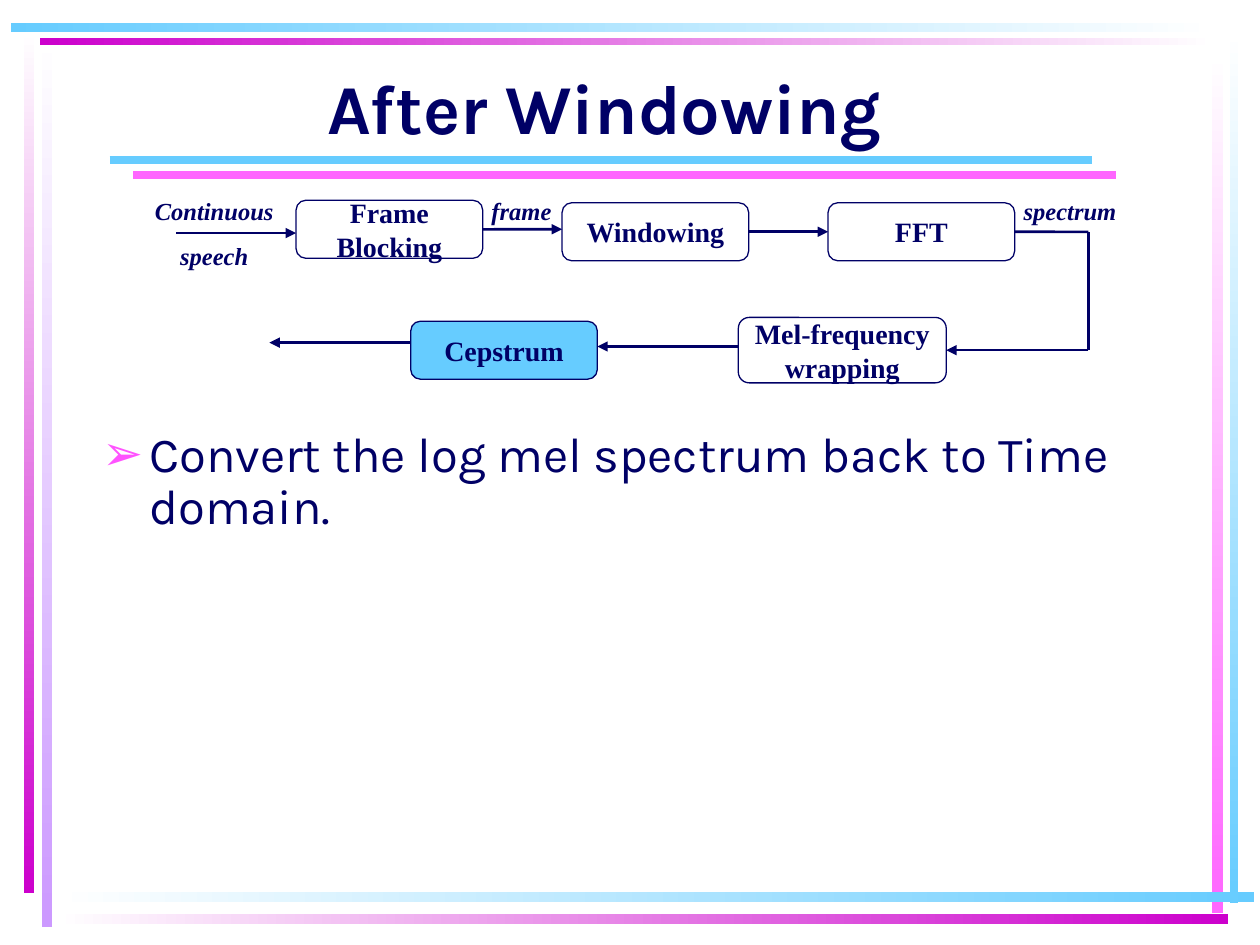
from lxml import etree
from pptx import Presentation
from pptx.dml.color import RGBColor
from pptx.enum.shapes import MSO_CONNECTOR, MSO_SHAPE
from pptx.enum.text import MSO_ANCHOR, MSO_AUTO_SIZE, PP_ALIGN
from pptx.oxml.ns import qn
from pptx.util import Pt

RECT, ROUND = MSO_SHAPE.RECTANGLE, MSO_SHAPE.ROUNDED_RECTANGLE
LINE = MSO_CONNECTOR.STRAIGHT
TOP, MIDDLE = MSO_ANCHOR.TOP, MSO_ANCHOR.MIDDLE
LEFT, CENTER, RIGHT = PP_ALIGN.LEFT, PP_ALIGN.CENTER, PP_ALIGN.RIGHT
FIXED = MSO_AUTO_SIZE.NONE

NAVY = RGBColor(0x00, 0x00, 0x66)
SKY = RGBColor(0x66, 0xCC, 0xFF)
PINK = RGBColor(0xFF, 0x66, 0xFF)
MAGENTA = RGBColor(0xCC, 0x00, 0xCC)
LILAC = RGBColor(0xCC, 0x99, 0xFF)
WHITE = RGBColor(0xFF, 0xFF, 0xFF)
BULLET = "FF53FF"

HEAD = {"name": "Karla", "size": Pt(40), "bold": True}
BODY = {"name": "Karla", "size": Pt(28), "bold": False}
NODE = {"name": "Times New Roman", "size": Pt(16), "bold": True}
LABEL = {"name": "Times New Roman", "size": Pt(14), "bold": True,
         "italic": True}


def place(shape, box):
    for key, val in zip(("left", "top", "width", "height"), box):
        setattr(shape, key, Pt(val))


def write(shape, text, form, align, anchor, wrap=True):
    frame = shape.text_frame
    frame.text = text
    frame.auto_size = FIXED
    frame.word_wrap = wrap
    frame.vertical_anchor = anchor
    for para in frame.paragraphs:
        para.alignment = align
        font = para.runs[0].font
        for key, val in form.items():
            setattr(font, key, val)
        font.color.rgb = NAVY
    return frame


def draw(slide, start, end, color, width, arrow=False):
    link = slide.shapes.add_connector(LINE, *map(Pt, start + end))
    link.line.color.rgb = color
    link.line.width = Pt(width)
    props = link._element.spPr
    if arrow:
        etree.SubElement(props.find(qn("a:ln")), qn("a:tailEnd"),
                         type="triangle")
    etree.SubElement(props, qn("a:effectLst"))
    return link


def border(slide, box):
    x, y, w, h = box
    bars = [
        (23.8, 20.2, 5.8, 509.8, WHITE, LILAC),
        (13.7, 18, 5.8, 492.5, WHITE, MAGENTA),
        (702.7, 17.3, 5, 499, WHITE, SKY),
        (692.6, 30.2, 6.5, 491.8, WHITE, PINK),
        (32.4, 509.8, 684, 5.8, WHITE, SKY),
        (32.4, 522, 669.6, 5.8, WHITE, MAGENTA),
        (23, 21.6, 671, 4.3, MAGENTA, WHITE),
        (6.1, 13.3, 688.3, 5, SKY, WHITE),
    ]
    for left, top, wide, high, first, last in bars:
        bar = slide.shapes.add_shape(
            RECT, Pt(x + left), Pt(y + top), Pt(wide), Pt(high))
        bar.shadow.inherit = False
        bar.line.fill.background()
        bar.fill.gradient()
        bar.fill.gradient_angle = 270 if high > wide else 0
        for stop, color in zip(bar.fill.gradient_stops, (first, last)):
            stop.color.rgb = color


def header(slide, box):
    x, y, w, h = box
    title = slide.shapes.title
    place(title, box)
    frame = write(title, "After Windowing", HEAD, CENTER, MIDDLE)
    frame.margin_bottom = Pt(8)
    for left, top, color in ((32.4, 61.2, SKY), (46.1, 69.8, PINK)):
        start = (x + left, y + top)
        draw(slide, start, (start[0] + 561.3, start[1]), color, 4.5)


def flow(slide, box):
    x, y, w, h = box
    col, step, wide, high = 99.2, 152, 106.6, 33.1
    nodes = {
        "frame": ("Frame\nBlocking", col, 6.5, wide, high),
        "window": ("Windowing", col + step, 7.9, wide, high),
        "fft": ("FFT", col + 2 * step, 7.9, wide, high),
        "ceps": ("Cepstrum", 164.7, 75.6, wide, high),
        "mel": ("Mel-frequency\nwrapping", 351.9, 73.4, 118.8, 37.4),
    }
    made = {}
    for key, (text, left, top, wide, high) in nodes.items():
        node = slide.shapes.add_shape(
            ROUND, Pt(x + left), Pt(y + top), Pt(wide), Pt(high))
        node.shadow.inherit = False
        node.line.color.rgb = NAVY
        node.line.width = Pt(0.75)
        if key == "ceps":
            node.fill.solid()
            node.fill.fore_color.rgb = SKY
        else:
            node.fill.background()
        write(node, text, NODE, CENTER, MIDDLE, False)
        made[key] = node

    links = [
        ((30.8, 25.2), (99.2, 25.2), True),
        (("frame", 3), (251.2, 23), True),
        (("window", 3), ("fft", 1), True),
        (("fft", 3), (552, 24.5), False),
        ((552, 24.5), (552, 92.1), False),
        ((552, 92.1), ("mel", 1 + 2), True),
        ((351.9, 90), (271.3, 90), True),
        ((164.7, 87.8), (84, 87.8), True),
    ]
    for start, end, arrow in links:
        ends = [(x, y) if p[0] in made else (x + p[0], y + p[1])
                for p in (start, end)]
        link = draw(slide, *ends, NAVY, 1.5, arrow)
        if start[0] in made:
            link.begin_connect(made[start[0]], start[1])
        if end[0] in made:
            link.end_connect(made[end[0]], end[1])

    labels = [
        ("Continuous\nspeech", 0.6, 103.7, 49.7, CENTER),
        ("frame", 183.4, 89.3, 24.5, CENTER),
        ("spectrum", 498.8, 76.3, 24.5, RIGHT),
    ]
    for text, left, wide, high, align in labels:
        label = slide.shapes.add_textbox(
            Pt(x + left), Pt(y + 0.7), Pt(wide), Pt(high))
        frame = write(label, text, LABEL, align, TOP)
        for para in frame.paragraphs[1:]:
            para.space_before = Pt(8.8)


def points(slide, box):
    body = slide.placeholders[1]
    place(body, box)
    text = "Convert the log mel spectrum back to Time domain."
    para = write(body, text, BODY, LEFT, TOP).paragraphs[0]
    props = para._p.get_or_add_pPr()
    props.set("marL", str(Pt(27)))
    props.set("indent", str(Pt(-27)))
    tint = etree.SubElement(props, qn("a:buClr"))
    etree.SubElement(tint, qn("a:srgbClr"), val=BULLET)
    etree.SubElement(props, qn("a:buChar"), char="➢")
    para.line_spacing = 0.9
    para.space_before = Pt(0)


def main():
    deck = Presentation()
    deck.slide_width, deck.slide_height = Pt(720), Pt(540)
    slide = deck.slides.add_slide(deck.slide_layouts[1])
    border(slide, (0, 0, 720, 540))
    header(slide, (30.2, 30.2, 630, 66.2))
    flow(slide, (70, 108, 576, 112))
    points(slide, (51.1, 241.9, 649.4, 254.9))
    deck.save("out.pptx")


if __name__ == "__main__":
    main()
